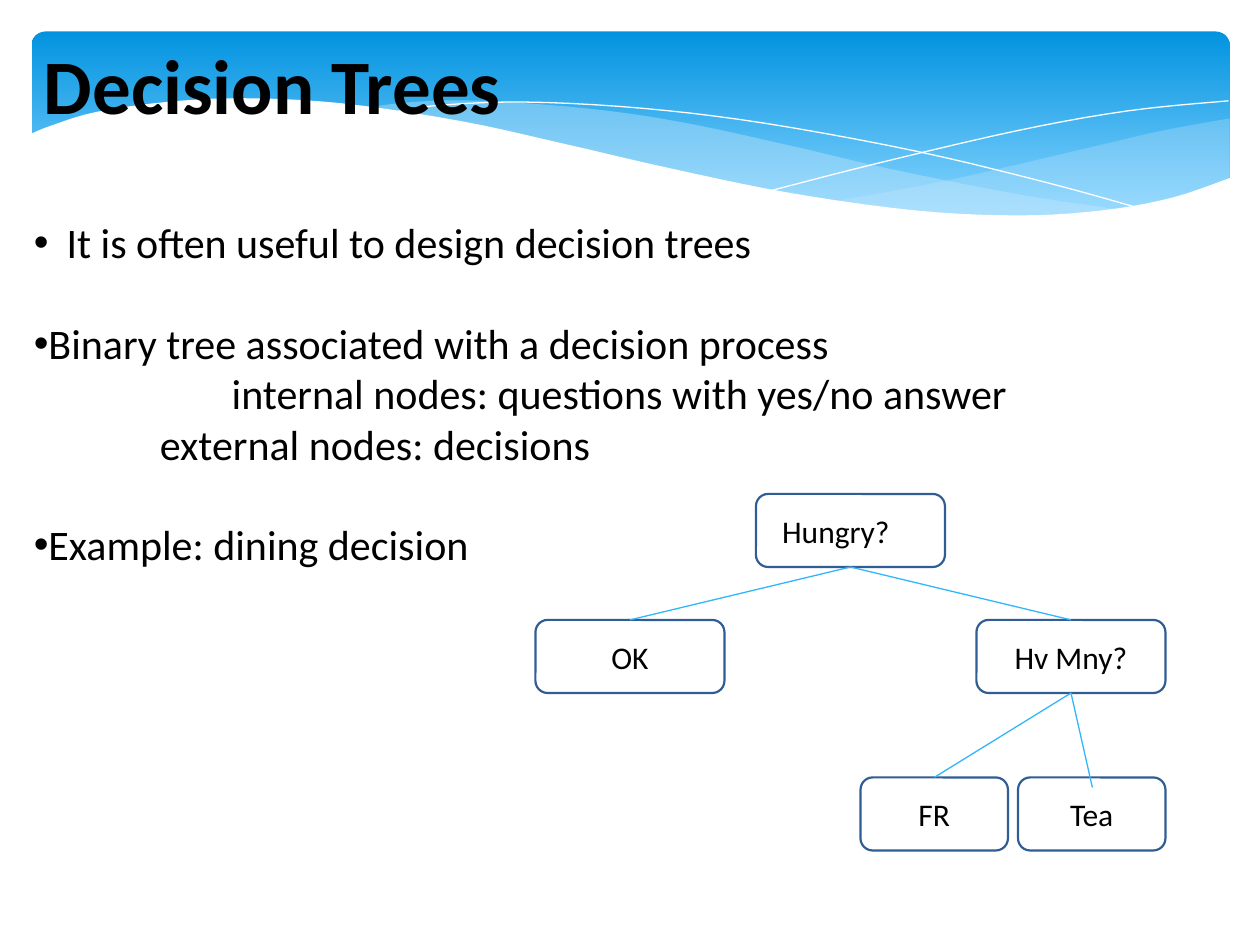
from lxml.etree import SubElement
from pptx import Presentation
from pptx.dml.color import RGBColor
from pptx.enum.shapes import MSO_CONNECTOR, MSO_SHAPE
from pptx.enum.text import MSO_ANCHOR, PP_ALIGN
from pptx.oxml.ns import qn
from pptx.util import Inches, Pt

FONT, BLACK, WHITE = "Calibri", "000000", "FFFFFF"
NODE_LINE, EDGE, WAVE = "315D95", "31B6FD", "C6E7FC"
NODE_H = 0.58
BOTTOM, TOP = 2, 0

# Each wave is (knots of smooth edges, straight corners, fill opacity or None for a line)
RIGHT_WAVE = [[(9.76, 0.94), (9.21, 1.04), (8.61, 1.18), (7.53, 1.43), (6.61, 1.6)],
              [(6.61, 1.6), (7.19, 1.67), (7.81, 1.72), (8.35, 1.72),
               (8.89, 1.66), (9.35, 1.56), (9.76, 1.41)]]
LONG_WAVE = [[(8.93, 1.67), (8.07, 1.54), (7.06, 1.34), (6.29, 1.16), (5.41, 0.97),
              (4.65, 0.86), (3.8, 0.8), (3.28, 0.81), (2.86, 0.86)],
             [(2.86, 0.86), (3.62, 0.97), (4.49, 1.16), (5.66, 1.43), (6.5, 1.58),
              (7.36, 1.69), (8.18, 1.73), (8.93, 1.67)]]
FALLING = [[(3.09, 0.9), (3.44, 0.84), (4.16, 0.81), (5.1, 0.86), (6.08, 0.98),
            (7.27, 1.2), (8.31, 1.45), (9.07, 1.66)]]
RISING = [[(6.13, 1.51), (6.95, 1.3), (8.06, 1.04), (8.95, 0.88), (9.75, 0.8)]]
LOWER_EDGE = [[(9.77, 1.41), (9.3, 1.57), (8.75, 1.67), (8.09, 1.71), (7.26, 1.67),
               (6.26, 1.53), (5.29, 1.33), (4.47, 1.14), (3.65, 0.96), (2.71, 0.82),
               (1.93, 0.78), (1.32, 0.81), (0.76, 0.89), (0.4, 1), (0.23, 1.07)],
              [(0.23, 2.24), (9.77, 2.24)]]

# text, left margin, first-line indent, bullet, blank lines before
BODY = [("It is often useful to design decision trees", 0.26, -0.26, True, 0),
        ("Binary tree associated with a decision process", 0, 0, True, 1),
        ("internal nodes: questions with yes/no answer", 1.57, 0, False, 0),
        ("external nodes: decisions", 1, 0, False, 0),
        ("Example: dining decision", 0, 0, True, 1)]

# text: left, top, width
NODES = {"Hungry?": (6, 3.92, 1.5), "OK": (4.25, 4.92, 1.5), "Hv Mny?": (7.75, 4.92, 1.5),
         "FR": (6.83, 6.17, 1.17), "Tea": (8.08, 6.17, 1.17)}
EDGES = [("Hungry?", "OK"), ("Hungry?", "Hv Mny?"), ("Hv Mny?", "FR")]


def rgb(hex_color):
    return RGBColor.from_string(hex_color)


def apply(target, values):
    for name, value in values.items():
        setattr(target, name, value)


def paint(sp, fill=None, line=None, width=0):
    sp.shadow.inherit = False
    if fill:
        sp.fill.solid()
        sp.fill.fore_color.rgb = rgb(fill)
    else:
        sp.fill.background()
    if line:
        sp.line.color.rgb = rgb(line)
        sp.line.width = Pt(width)
    else:
        sp.line.fill.background()


def write(p, text, size, bold=False):
    r = p.add_run()
    r.text = text
    apply(r.font, {"name": FONT, "size": Pt(size), "bold": bold})
    r.font.color.rgb = rgb(BLACK)


def smooth(knots, steps=5):
    """Catmull-Rom points through the knots."""
    ext = [knots[0], *knots, knots[-1]]
    points = [knots[0]]
    for a, b, c, d in zip(ext, ext[1:], ext[2:], ext[3:]):
        for t in (i / steps for i in range(1, steps + 1)):
            points.append(tuple(
                (2 * q + (r - p) * t + (2 * p - 5 * q + 4 * r - s) * t ** 2
                 + (3 * q - p - 3 * r + s) * t ** 3) / 2
                for p, q, r, s in zip(a, b, c, d)))
    return points


def add_wave(s, edges, fill=None, opacity=100):
    points = [(Inches(x), Inches(y)) for edge in edges
              for x, y in (smooth(edge) if len(edge) > 2 else edge)]
    fb = s.shapes.build_freeform(*points[0])
    fb.add_line_segments(points[1:], close=bool(fill))
    sp = fb.convert_to_shape()
    paint(sp, fill, None if fill else WHITE)
    if opacity < 100:
        color = sp.fill._xPr.find(".//" + qn("a:srgbClr"))
        SubElement(color, qn("a:alpha"), val=str(opacity * 1000))


def add_banner(s):
    sp = s.shapes.add_shape(MSO_SHAPE.ROUNDED_RECTANGLE, Inches(0.25), Inches(0.25),
                            Inches(9.51), Inches(1.56))
    sp.adjustments[0] = 0.071
    paint(sp)
    sp.fill.gradient()
    sp.fill.gradient_angle = 270
    for stop, position, color in zip(sp.fill.gradient_stops, (0, 0.9), ("0293E0", "83D3FE")):
        stop.position = position
        stop.color.rgb = rgb(color)
    add_wave(s, RIGHT_WAVE, WAVE, 29)
    add_wave(s, LONG_WAVE, WAVE, 40)
    add_wave(s, FALLING)
    add_wave(s, RISING)
    add_wave(s, LOWER_EDGE, WHITE)


def add_text(s, left, top, width, height):
    tf = s.shapes.add_textbox(*map(Inches, (left, top, width, height))).text_frame
    tf.word_wrap = True
    return tf


def add_body(s, size=24):
    tf = add_text(s, 0.17, 1.67, 9.58, 2.93)
    for i, (text, margin, indent, bullet, blanks) in enumerate(BODY):
        p = tf.add_paragraph() if i else tf.paragraphs[0]
        p.space_before = Pt(blanks * size * 1.2)
        pPr = p._p.get_or_add_pPr()
        pPr.set("marL", str(Inches(margin)))
        pPr.set("indent", str(Inches(indent)))
        if bullet:
            SubElement(pPr, qn("a:buFont"), typeface="Arial")
            SubElement(pPr, qn("a:buChar"), char="•")
        write(p, text, size)


def add_node(s, text, left, top, width):
    sp = s.shapes.add_shape(MSO_SHAPE.ROUNDED_RECTANGLE,
                            *map(Inches, (left, top, width, NODE_H)))
    paint(sp, WHITE, NODE_LINE, 1.25)
    tf = sp.text_frame
    apply(tf, {"word_wrap": True, "vertical_anchor": MSO_ANCHOR.MIDDLE})
    p = tf.paragraphs[0]
    p.alignment = PP_ALIGN.CENTER
    if text == "Hungry?":
        p.alignment = PP_ALIGN.LEFT
        tf.margin_left = Inches(0.18)
    write(p, text, 18)
    return sp


def add_edge(s, parent, child=None, end=(0, 0)):
    """Line from a parent's bottom to a child's top, or to a free end point."""
    cx = s.shapes.add_connector(MSO_CONNECTOR.STRAIGHT, 0, 0, *map(Inches, end))
    cx.begin_connect(parent, BOTTOM)
    if child:
        cx.end_connect(child, TOP)
    cx.line.color.rgb = rgb(EDGE)
    cx.line.width = Pt(0.75)
    SubElement(cx._element.spPr, qn("a:effectLst"))


def main():
    prs = Presentation()
    apply(prs, {"slide_width": Inches(10), "slide_height": Inches(7.5)})
    s = prs.slides.add_slide(prs.slide_layouts[6])
    add_banner(s)
    write(add_text(s, 0.25, 0.25, 7.58, 0.84).paragraphs[0], "Decision Trees", 44, True)
    add_body(s)
    nodes = {text: add_node(s, text, *place) for text, place in NODES.items()}
    for parent, child in EDGES:
        add_edge(s, nodes[parent], nodes[child])
    add_edge(s, nodes["Hv Mny?"], end=(8.67, 6.25))
    prs.save("out.pptx")


if __name__ == "__main__":
    main()
